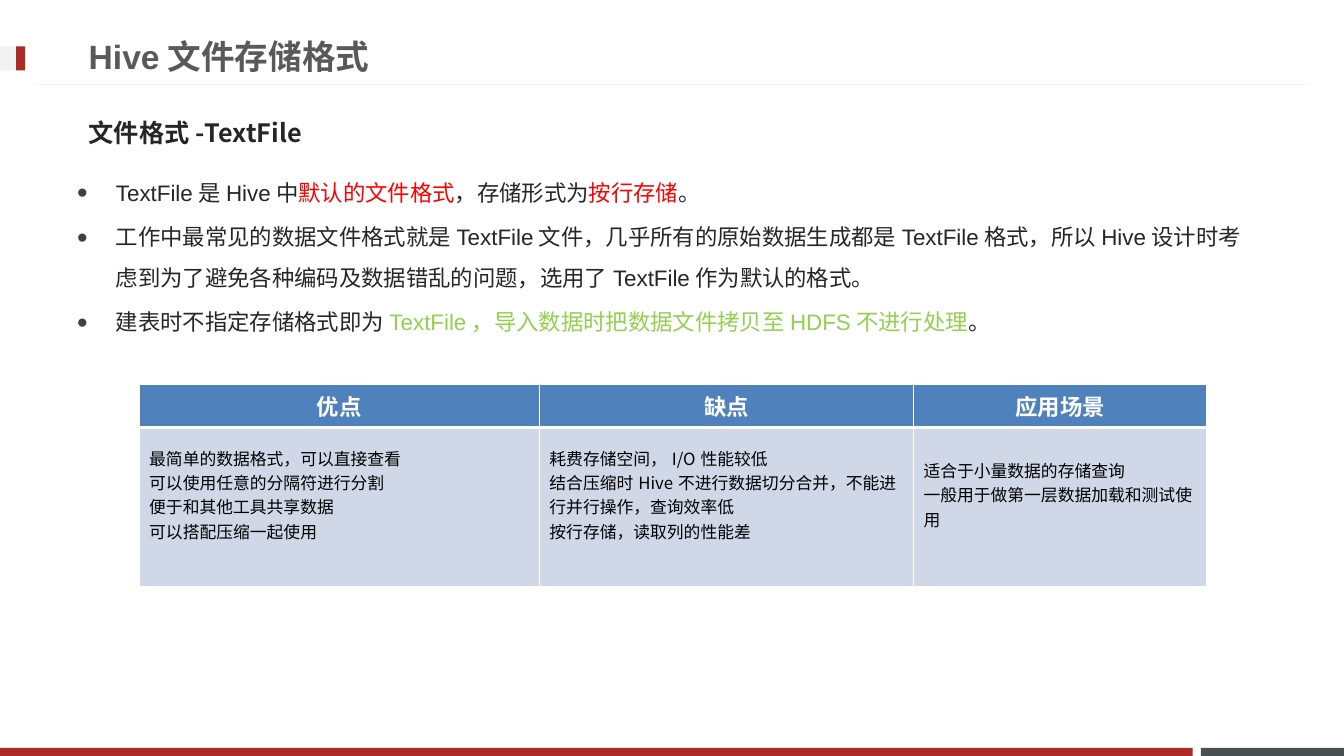
from lxml import etree
from pptx import Presentation
from pptx.dml.color import RGBColor
from pptx.enum.shapes import MSO_CONNECTOR, MSO_SHAPE
from pptx.enum.text import MSO_ANCHOR, MSO_AUTO_SIZE, PP_ALIGN
from pptx.oxml.ns import qn
from pptx.util import Inches, Pt

LEFT, CENTER = PP_ALIGN.LEFT, PP_ALIGN.CENTER
TOP, MIDDLE = MSO_ANCHOR.TOP, MSO_ANCHOR.MIDDLE
RECT, STRAIGHT = MSO_SHAPE.RECTANGLE, MSO_CONNECTOR.STRAIGHT
NO_FIT = MSO_AUTO_SIZE.NONE

WHITE = RGBColor(0xFF, 0xFF, 0xFF)
BLACK = RGBColor(0x00, 0x00, 0x00)
CRIMSON = RGBColor(0xAD, 0x2B, 0x26)
SLATE = RGBColor(0x49, 0x50, 0x4F)
PALE = RGBColor(0xF2, 0xF2, 0xF2)
TITLE_GREY = RGBColor(0x59, 0x59, 0x59)
BULLET_GREY = RGBColor(0x40, 0x40, 0x40)
INK = RGBColor(0x26, 0x26, 0x26)
RED = RGBColor(0xFF, 0x00, 0x00)
GREEN = RGBColor(0x92, 0xD0, 0x50)
HEAD_BLUE = RGBColor(0x4F, 0x81, 0xBD)
CELL_BLUE = RGBColor(0xD0, 0xD8, 0xE8)

CJK = "Noto Sans CJK SC"
TITLE = dict(name="Arial", size=Pt(24), bold=True, color=TITLE_GREY)
SUBTITLE = dict(name="Noto Sans CJK JP", size=Pt(18), bold=True, color=INK)
BODY = dict(name="Arial", size=Pt(16), bold=False, color=INK)
HEAD = dict(name=CJK, size=Pt(16), bold=True, color=WHITE)
CELL = dict(name=CJK, size=Pt(12), bold=False, color=BLACK)

BULLETS = [
    [("TextFile是Hive中", INK), ("默认的文件格式", RED), ("，存储形式为", INK),
     ("按行存储", RED), ("。", INK)],
    [("工作中最常见的数据文件格式就是TextFile文件，几乎所有的原始数据生成都是"
      "TextFile格式，所以Hive设计时考虑到为了避免各种编码及数据错乱的问题，"
      "选用了TextFile作为默认的格式。", INK)],
    [("建表时不指定存储格式即为", INK),
     ("TextFile，导入数据时把数据文件拷贝至HDFS不进行处理", GREEN), ("。", INK)],
]
COLUMNS = [
    ("优点", 3.97, ["最简单的数据格式，可以直接查看", "可以使用任意的分隔符进行分割",
                  "便于和其他工具共享数据", "可以搭配压缩一起使用"]),
    ("缺点", 3.71, ["耗费存储空间，I/O性能较低",
                  "结合压缩时Hive不进行数据切分合并，不能进行并行操作，查询效率低",
                  "按行存储，读取列的性能差"]),
    ("应用场景", 2.91, ["适合于小量数据的存储查询",
                    "一般用于做第一层数据加载和测试使用"]),
]


class SlideBuilder:
    def __init__(self, slide):
        self.slide = slide

    def add_run(self, p, text, style, color=None):
        r = p.add_run()
        r.text = text
        for key, value in style.items():
            if key != "color":
                setattr(r.font, key, value)
        r.font.color.rgb = color or style["color"]
        east_asian = CJK if style["name"] == "Arial" else style["name"]
        etree.SubElement(r.font._element, qn("a:ea"), typeface=east_asian)

    def paragraph(self, tf, i):
        """Return the existing first paragraph, or a new one after it."""
        return tf.add_paragraph() if i else tf.paragraphs[0]

    def placeholder(self, idx, x, y, w, h, anchor):
        sp = self.slide.placeholders[idx]
        sp.left, sp.top, sp.width, sp.height = map(Inches, (x, y, w, h))
        tf = sp.text_frame
        tf.word_wrap, tf.auto_size, tf.vertical_anchor = True, NO_FIT, anchor
        return tf

    def heading(self, idx, box, text, style):
        p = self.placeholder(idx, *box, MIDDLE).paragraphs[0]
        pPr = p._p.get_or_add_pPr()
        pPr.set("marL", "0")
        pPr.set("indent", "0")
        etree.SubElement(pPr, qn("a:buNone"))
        p.alignment, p.space_before = LEFT, Pt(0)
        self.add_run(p, text, style)

    def bullet_list(self, idx, box, items):
        tf = self.placeholder(idx, *box, TOP)
        for i, runs in enumerate(items):
            p = self.paragraph(tf, i)
            pPr = p._p.get_or_add_pPr()
            pPr.set("marL", str(Inches(0.39)))
            pPr.set("indent", str(Inches(-0.39)))
            color = etree.SubElement(pPr, qn("a:buClr"))
            etree.SubElement(color, qn("a:srgbClr"), val=str(BULLET_GREY))
            etree.SubElement(pPr, qn("a:buSzPct"), val="85000")
            etree.SubElement(pPr, qn("a:buFont"), typeface="Arial")
            etree.SubElement(pPr, qn("a:buChar"), char="●")
            p.alignment, p.line_spacing = LEFT, 1.5
            p.space_before = Pt(3.2 if i else 0)
            for text, run_color in runs:
                self.add_run(p, text, BODY, run_color)

    def bar(self, x, y, w, h, color):
        sp = self.slide.shapes.add_shape(RECT, *map(Inches, (x, y, w, h)))
        sp.shadow.inherit = False
        sp.fill.solid()
        sp.fill.fore_color.rgb = color
        sp.line.fill.background()

    def rule(self, x1, y1, x2, y2, color):
        line = self.slide.shapes.add_connector(
            STRAIGHT, *map(Inches, (x1, y1, x2, y2)))
        line.line.color.rgb, line.line.width = color, Pt(0.75)
        etree.SubElement(line._element.spPr, qn("a:effectLst"))

    def cell(self, cell, lines, style, fill, align, bottom_border):
        tcPr = cell._tc.get_or_add_tcPr()
        for side, width in dict(L=1, R=1, T=1, B=bottom_border).items():
            ln = etree.SubElement(tcPr, qn(f"a:ln{side}"), w=str(Pt(width)))
            solid = etree.SubElement(ln, qn("a:solidFill"))
            etree.SubElement(solid, qn("a:srgbClr"), val=str(WHITE))
        cell.fill.solid()
        cell.fill.fore_color.rgb = fill
        cell.vertical_anchor = MIDDLE
        for i, text in enumerate(lines):
            p = self.paragraph(cell.text_frame, i)
            p.alignment = align
            self.add_run(p, text, style)

    def table(self, x, y, columns, row_heights):
        width = sum(w for _, w, _ in columns)
        table = self.slide.shapes.add_table(
            len(row_heights), len(columns),
            *map(Inches, (x, y, width, sum(row_heights)))).table
        for row, height in zip(table.rows, row_heights):
            row.height = Inches(height)
        for i, (head, w, lines) in enumerate(columns):
            table.columns[i].width = Inches(w)
            self.cell(table.cell(0, i), [head], HEAD, HEAD_BLUE, CENTER, 3)
            self.cell(table.cell(1, i), lines, CELL, CELL_BLUE, LEFT, 1)
            table.cell(1, i).margin_bottom = Inches(0.3)


def main():
    prs = Presentation()
    prs.slide_width, prs.slide_height = Inches(13.33), Inches(7.5)
    page = SlideBuilder(prs.slides.add_slide(prs.slide_layouts[3]))

    page.bar(11.91, 7.42, 1.42, 0.08, SLATE)
    page.bar(0, 7.42, 11.83, 0.08, CRIMSON)
    page.rule(12.98, 0.84, 0.35, 0.84, PALE)
    page.bar(0, 0.46, 0.25, 0.24, PALE)
    page.bar(0.16, 0.46, 0.09, 0.24, CRIMSON)

    page.heading(0, (0.78, 0.27, 9.59, 0.57), "Hive文件存储格式", TITLE)
    page.heading(1, (0.78, 1.03, 11.76, 0.57), "文件格式-TextFile", SUBTITLE)
    page.bullet_list(2, (0.66, 1.59, 11.76, 4.61), BULLETS)
    page.table(1.38, 3.81, COLUMNS, [0.43, 1.58])
    prs.save("out.pptx")


if __name__ == "__main__":
    main()
